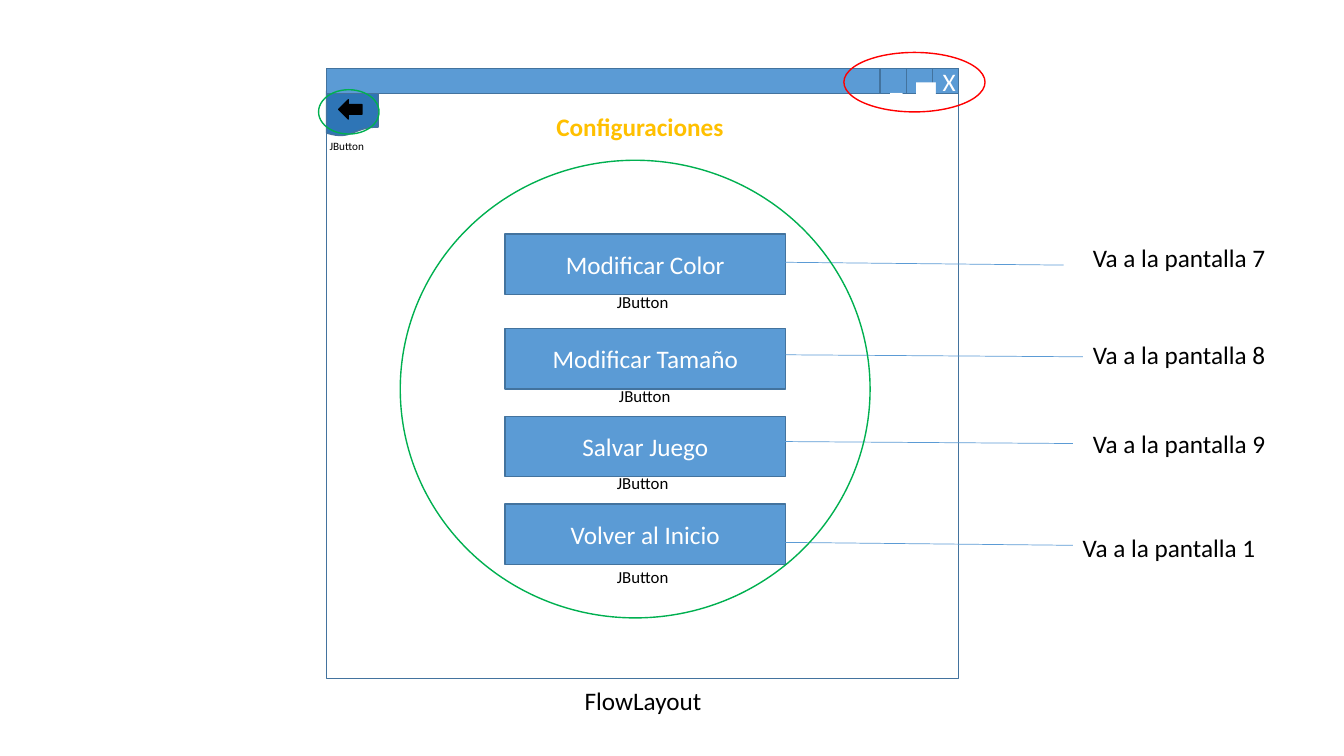
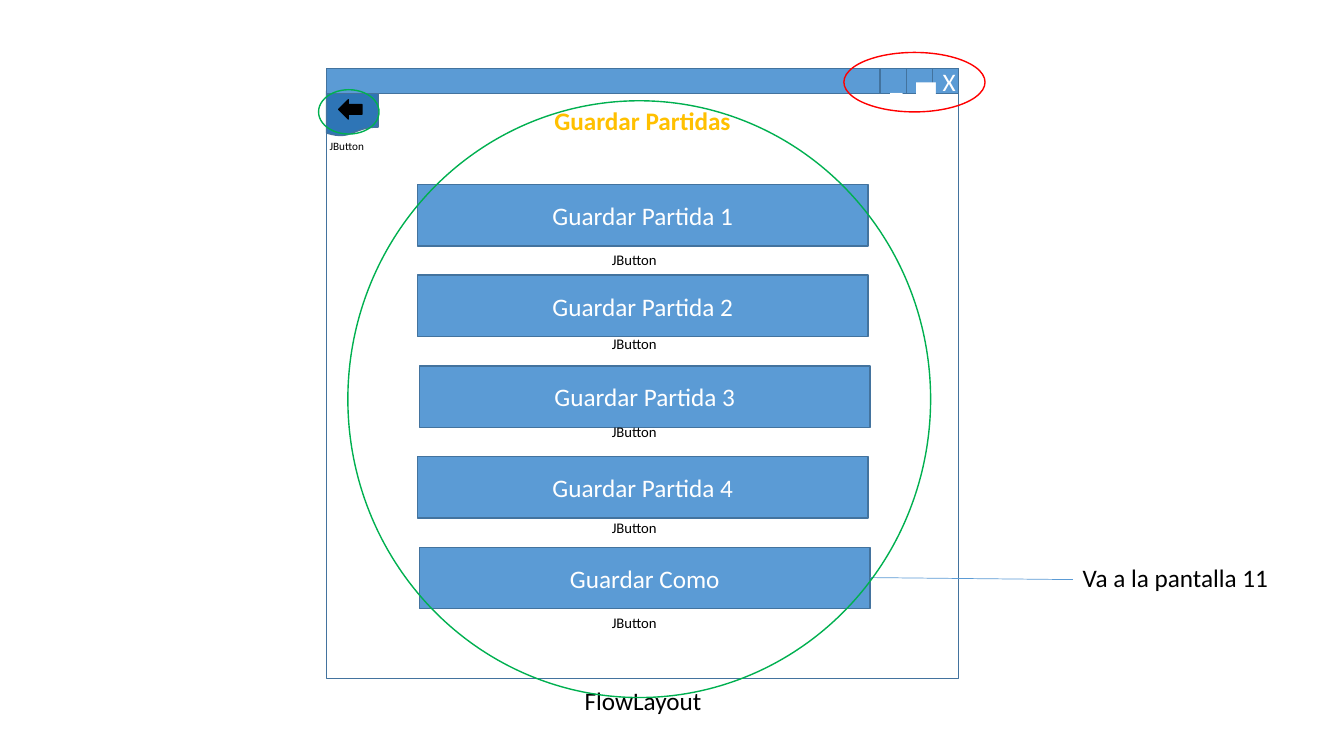
"""Build two window mock-ups: a settings screen and a save-game screen."""
import pptx
import pptx.dml.color
import pptx.enum.shapes
import pptx.enum.text
import pptx.oxml
import pptx.util
from dataclasses import dataclass

Inches = pptx.util.Inches
Pt = pptx.util.Pt
SHAPE = pptx.enum.shapes.MSO_SHAPE
ALIGN = pptx.enum.text.PP_ALIGN


@dataclass(frozen=True)
class Theme:
    font: str = "Calibri"
    blue: str = "5B9BD5"
    edge: str = "43739E"
    dark_blue: str = "2E75B6"
    gold: str = "FFC000"
    red: str = "FF0000"
    green: str = "00B050"
    white: str = "FFFFFF"
    black: str = "000000"
    body: float = 18
    tiny: float = 8
    outline: float = 1
    link: float = 0.5


THEME = Theme()

WINDOW = (3.24, 0.9, 6.27, 5.83)
TITLE_BAR = (3.24, 0.68, 6.27, 0.25)
CONTROLS = ["X", "▄", "_"]
CONTROL_W = 0.26

SCREENS = [
    {
        "title": ("Configuraciones", (5.42, 1.05, 1.96, 0.41)),
        "button_size": (2.78, 0.6),
        "buttons": [
            ("Modificar Color", 5.01, 2.32),
            ("Modificar Tamaño", 5.01, 3.26),
            ("Salvar Juego", 5.01, 4.13),
            ("Volver al Inicio", 5.01, 5),
        ],
        "tag": (12, 0.72, 0.3),
        "tags": [(6.02, 2.85), (6.04, 3.78), (6.02, 4.64), (6.02, 5.57)],
        "links": [
            ((7.6, 2.6), (10.55, 2.63)),
            ((7.79, 3.52), (10.74, 3.54)),
            ((7.7, 4.38), (10.64, 4.4)),
            ((7.7, 5.38), (10.64, 5.41)),
        ],
        "targets": [
            ("Va a la pantalla 7", (10.74, 2.36, 1.94, 0.4)),
            ("Va a la pantalla 8", (10.74, 3.32, 1.94, 0.4)),
            ("Va a la pantalla 9", (10.74, 4.2, 1.94, 0.4)),
            ("Va a la pantalla 1", (10.64, 5.23, 1.94, 0.4)),
        ],
        "group": (3.97, 1.59, 4.66, 4.54),
    },
    {
        "title": ("Guardar Partidas", (5.4, 1, 1.96, 0.71)),
        "button_size": (4.47, 0.61),
        "buttons": [
            ("Guardar Partida 1", 4.14, 1.83),
            ("Guardar Partida 2", 4.14, 2.73),
            ("Guardar Partida 3", 4.16, 3.63),
            ("Guardar Partida 4", 4.14, 4.53),
            ("Guardar Como", 4.16, 5.43),
        ],
        "tag": (10.5, 0.66, 0.28),
        "tags": [(5.97, y) for y in (2.44, 3.27, 4.15, 5.1, 6.04)],
        "links": [((8.63, 5.73), (10.64, 5.75))],
        "targets": [("Va a la pantalla 11", (10.64, 5.53, 2.06, 0.4))],
        "group": (3.45, 1, 5.78, 5.92),
    },
]


def rgb(color):
    return pptx.dml.color.RGBColor.from_string(color)


def write(tf, text, color, size, bold=False, align=ALIGN.LEFT):
    p = tf.paragraphs[0]
    p.text = text
    p.alignment = align
    p.font.name = THEME.font
    p.font.size = Pt(size)
    p.font.bold = bold
    p.font.color.rgb = rgb(color)


def add_shape(s, kind, box, fill=None, line=THEME.edge, text=None):
    sp = s.shapes.add_shape(kind, *map(Inches, box))
    sp.shadow.inherit = False
    if fill:
        sp.fill.solid()
        sp.fill.fore_color.rgb = rgb(fill)
    else:
        sp.fill.background()
    sp.line.color.rgb = rgb(line)
    sp.line.width = Pt(THEME.outline)
    if text:
        sp.text_frame.vertical_anchor = pptx.enum.text.MSO_ANCHOR.MIDDLE
        write(sp.text_frame, text, THEME.white, THEME.body, align=ALIGN.CENTER)


def add_text(s, text, box, color=THEME.black, size=THEME.body, bold=False, wrap=False):
    tf = s.shapes.add_textbox(*map(Inches, box)).text_frame
    tf.word_wrap = wrap
    tf.auto_size = pptx.enum.text.MSO_AUTO_SIZE.SHAPE_TO_FIT_TEXT
    write(tf, text, color, size, bold)


def add_link(s, start, end):
    line = s.shapes.add_connector(
        pptx.enum.shapes.MSO_CONNECTOR.STRAIGHT, *map(Inches, start + end))
    line.line.color.rgb = rgb(THEME.blue)
    line.line.width = Pt(THEME.link)
    line._element.spPr.append(pptx.oxml.parse_xml(
        '<a:effectLst xmlns:a="http://schemas.openxmlformats.org/drawingml/2006/main"/>'))


def add_back_button(s):
    add_shape(s, SHAPE.FLOWCHART_DOCUMENT, (3.24, 0.9, 0.51, 0.45), THEME.dark_blue)
    add_shape(s, SHAPE.LEFT_ARROW, (3.36, 0.99, 0.23, 0.19), THEME.black, THEME.black)
    add_text(s, "JButton", (3.17, 1.33, 0.7, 0.24), size=THEME.tiny, wrap=True)


def add_title_bar(s):
    add_shape(s, SHAPE.RECTANGLE, TITLE_BAR, THEME.blue)
    left, top, width, height = TITLE_BAR
    for i, mark in enumerate(CONTROLS, 1):
        box = (left + width - i * CONTROL_W, top, CONTROL_W, height)
        add_shape(s, SHAPE.RECTANGLE, box, THEME.blue, text=mark)


def add_screen(prs, screen):
    s = prs.slides.add_slide(prs.slide_layouts[6])
    add_shape(s, SHAPE.RECTANGLE, WINDOW, THEME.white)
    for label, x, y in screen["buttons"]:
        add_shape(s, SHAPE.RECTANGLE, (x, y) + screen["button_size"], THEME.blue, text=label)
    add_text(s, *screen["title"], color=THEME.gold, bold=True, wrap=True)
    for start, end in screen["links"]:
        add_link(s, start, end)
    for text, box in screen["targets"]:
        add_text(s, text, box)
    add_back_button(s)
    size, width, height = screen["tag"]
    for x, y in screen["tags"]:
        add_text(s, "JButton", (x, y, width, height), size=size)
    add_text(s, "FlowLayout", (5.7, 6.75, 1.37, 0.4))
    add_title_bar(s)
    add_shape(s, SHAPE.OVAL, (8.37, 0.52, 1.4, 0.59), line=THEME.red)
    add_shape(s, SHAPE.OVAL, (3.16, 0.89, 0.6, 0.44), line=THEME.green)
    add_shape(s, SHAPE.OVAL, screen["group"], line=THEME.green)


prs = pptx.Presentation()
prs.slide_width, prs.slide_height = Inches(13.33), Inches(7.5)
for screen in SCREENS:
    add_screen(prs, screen)
prs.save("out.pptx")
